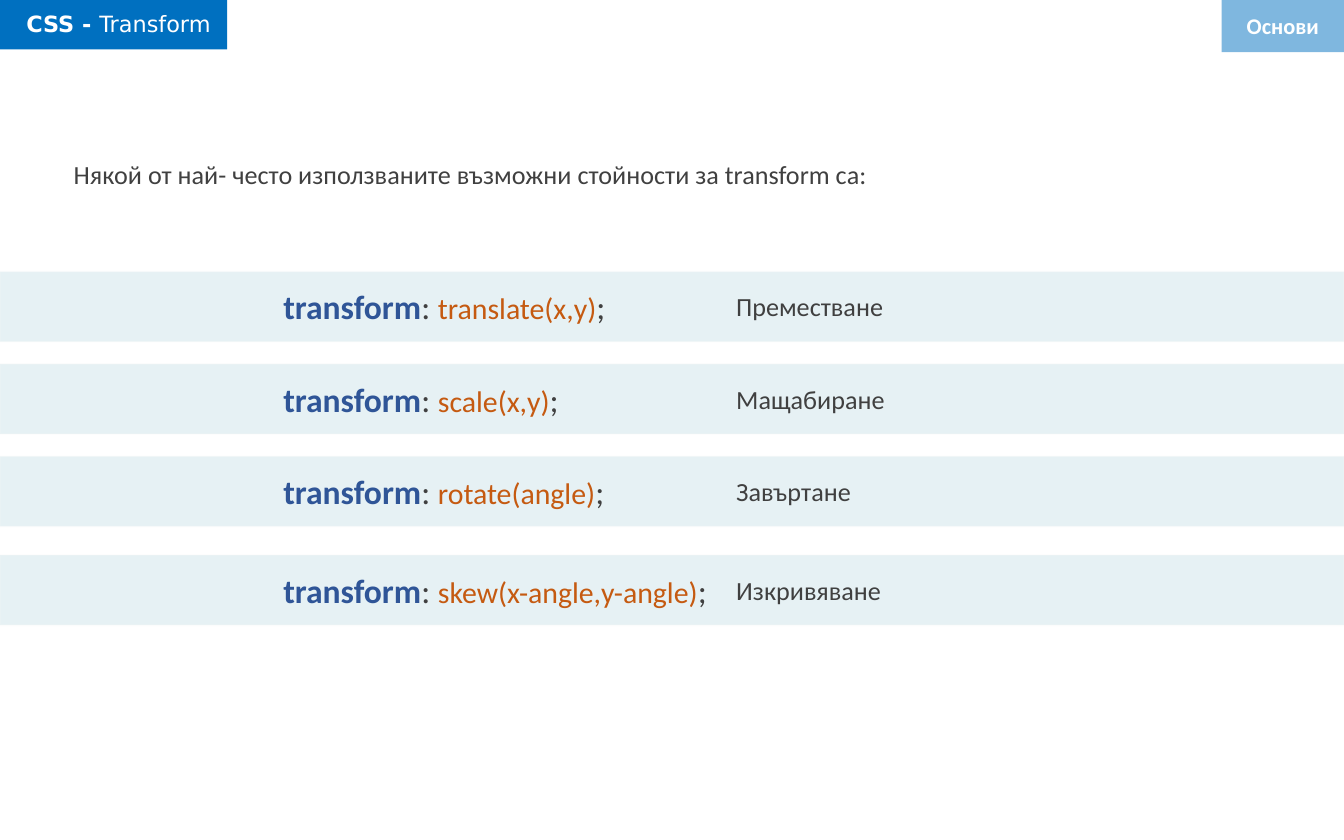
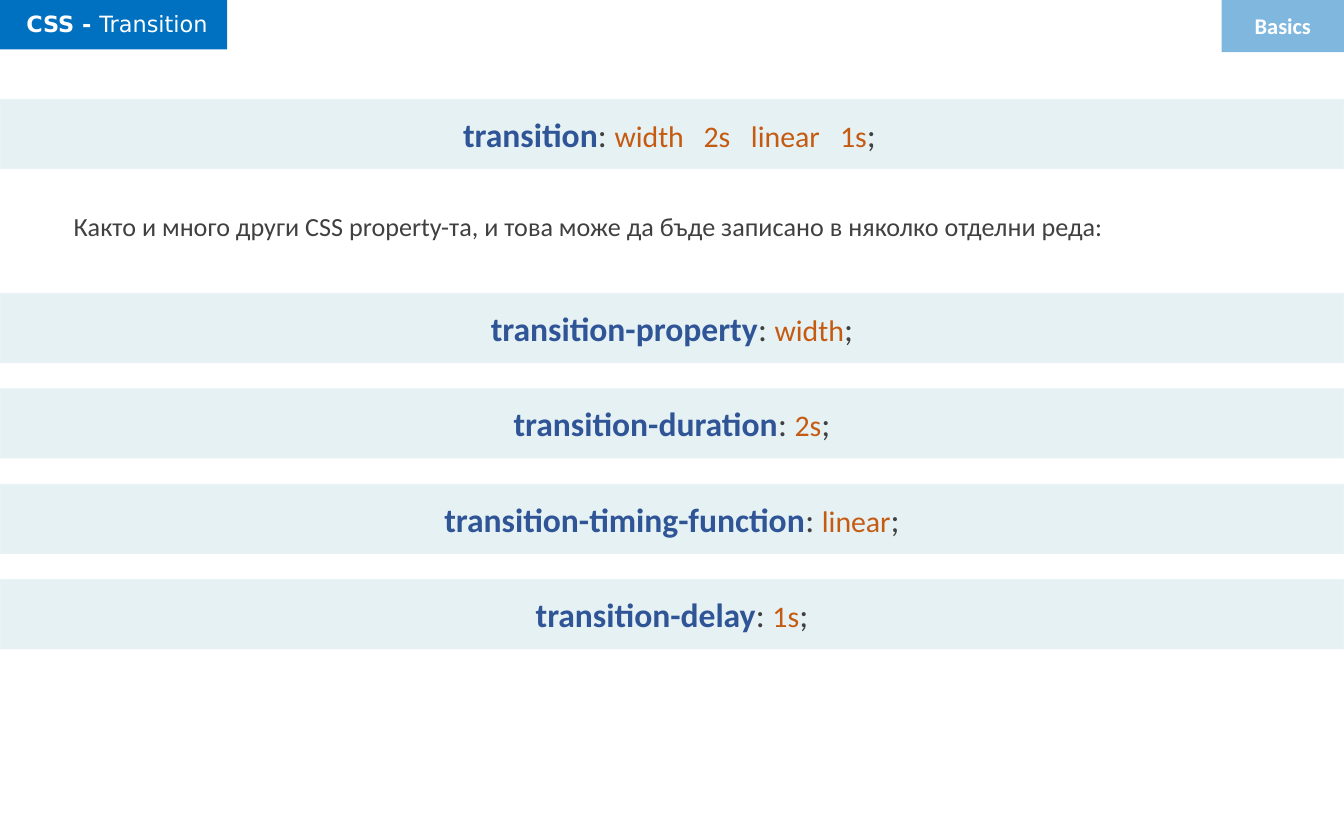
import pptx
import pptx.dml.color
import pptx.enum.shapes
import pptx.enum.text
import pptx.oxml.ns
import pptx.util
from dataclasses import dataclass
from lxml import etree

Pt = pptx.util.Pt
ALIGN = pptx.enum.text.PP_ALIGN


@dataclass(frozen=True)
class Theme:
    title_fill: str = "0070C0"
    band_fill: str = "127994"
    band_line: str = "F8F8F8"
    body: str = "404040"
    keyword: str = "2F5597"
    value: str = "C55A11"
    light: str = "FFFFFF"
    font: str = "Calibri"
    title_font: str = "DejaVu Sans"
    tag_size: int = 12
    body_size: int = 14
    value_size: int = 16
    keyword_size: int = 18


theme = Theme()
SLIDE_WIDTH, SLIDE_HEIGHT = 720, 450
BAND_HEIGHT = 37.5
TAG_LEFT, TAG_WIDTH = 654.5, 65.5


def add_box(page, left, top, width, height, color, opacity=100, line=None):
    """Add a rectangle; line is an optional (colour, opacity) pair."""
    box = page.shapes.add_shape(pptx.enum.shapes.MSO_SHAPE.RECTANGLE,
                                Pt(left), Pt(top), Pt(width), Pt(height))
    box.shadow.inherit = False
    paints = [(box.fill, color, opacity)]
    if line:
        box.line.width = Pt(1)
        paints.append((box.line.fill, *line))
    else:
        box.line.fill.background()
    for fill, paint, percent in paints:
        fill.solid()
        fill.fore_color.rgb = pptx.dml.color.RGBColor.from_string(paint)
    # Opacity goes on each solid fill's colour, the shape's first, then the line's
    solids = box._element.spPr.iter(pptx.oxml.ns.qn("a:solidFill"))
    for solid, (_, _, percent) in zip(solids, paints):
        if percent < 100:
            alpha = etree.SubElement(solid[0], pptx.oxml.ns.qn("a:alpha"))
            alpha.set("val", str(percent * 1000))


def add_text(page, text, left, top, width, height, size=theme.body_size,
             color=theme.body, font=theme.font, bold=False, align=None,
             wrap=True, tabs=()):
    """Add one line: a string, or a list of (text, overrides) pairs."""
    box = page.shapes.add_textbox(Pt(left), Pt(top), Pt(width), Pt(height))
    frame = box.text_frame
    frame.word_wrap = wrap
    frame.auto_size = pptx.enum.text.MSO_AUTO_SIZE.SHAPE_TO_FIT_TEXT
    para = frame.paragraphs[0]
    if align is not None:
        para.alignment = align
    if tabs:
        stops = etree.SubElement(para._p.get_or_add_pPr(), pptx.oxml.ns.qn("a:tabLst"))
        for stop in tabs:
            etree.SubElement(stops, pptx.oxml.ns.qn("a:tab"), pos=str(Pt(stop)), algn="l")
    pieces = [(text, {})] if isinstance(text, str) else text
    for words, changes in pieces:
        look = {"size": size, "color": color, "bold": bold, **changes}
        span = para.add_run()
        span.text = words
        span.font.name = font
        span.font.size = Pt(look["size"])
        span.font.bold = look["bold"]
        span.font.color.rgb = pptx.dml.color.RGBColor.from_string(look["color"])


deck = pptx.Presentation()
deck.slide_width, deck.slide_height = Pt(SLIDE_WIDTH), Pt(SLIDE_HEIGHT)

# Each rule: band top, property, value, code left, code width, format, description
transform_rules = [
    (top, "transform", value, 144.7, width, {"wrap": False}, description)
    for top, value, width, description in [
        (145.5, "translate(x,y)", 189.4, "Преместване"),
        (195, "scale(x,y)", 163.4, "Мащабиране"),
        (244.5, "rotate(angle)", 188.6, "Завъртане"),
        (297.4, "skew(x-angle,y-angle)", 244.8, "Изкривяване"),
    ]
]
transition_rules = [
    (53, "transition", "width\t2s\tlinear\t1s", 241, 238.3,
     {"tabs": (128.8, 154.2, 202)}, None)
] + [
    (157 + 51.1 * row, "transition-" + name, value, 190, 340,
     {"align": ALIGN.CENTER}, None)
    for row, (name, value) in enumerate([
        ("property", "width"), ("duration", "2s"),
        ("timing-function", "linear"), ("delay", "1s"),
    ])
]
pages = [
    ("Transform", "Основи", 81.4,
     "Някой от най- често използваните възможни стойности за transform са:",
     transform_rules),
    ("Transition", "Basics", 109.4,
     "Както и много други CSS property-та, и това може да бъде записано в няколко отделни реда:",
     transition_rules),
]

for topic, tag, intro_top, intro, rules in pages:
    page = deck.slides.add_slide(deck.slide_layouts[6])

    # Introduction
    add_text(page, intro, 32.4, intro_top, 652.3, 24.2)

    # Code bands
    for top, name, value, left, width, code_format, description in rules:
        add_box(page, 0, top, SLIDE_WIDTH, BAND_HEIGHT, theme.band_fill,
                opacity=10, line=(theme.band_line, 16))
        code = [
            (name, {"color": theme.keyword, "bold": True}),
            (": ", {}),
            (value, {"color": theme.value, "size": theme.value_size}),
            (";", {}),
        ]
        add_text(page, code, left, top + 4.3, width, 29,
                 size=theme.keyword_size, **code_format)
        if description:
            add_text(page, description, 387.3, top + 6.75, 318.2, 24.2)

    # Slide title
    add_box(page, 0, -1.5, 121.7, 28, theme.title_fill)
    add_text(page, [("CSS - ", {"bold": True}), (topic, {})], 7, 2, 114.5, 21.8,
             size=theme.tag_size, color=theme.light, font=theme.title_font)

    # Section tag
    add_box(page, TAG_LEFT, 0, TAG_WIDTH, 28, theme.title_fill, opacity=50)
    add_text(page, tag, TAG_LEFT, 3.1, TAG_WIDTH, 21.8, size=theme.tag_size,
             color=theme.light, bold=True, align=ALIGN.CENTER)

deck.save("out.pptx")
